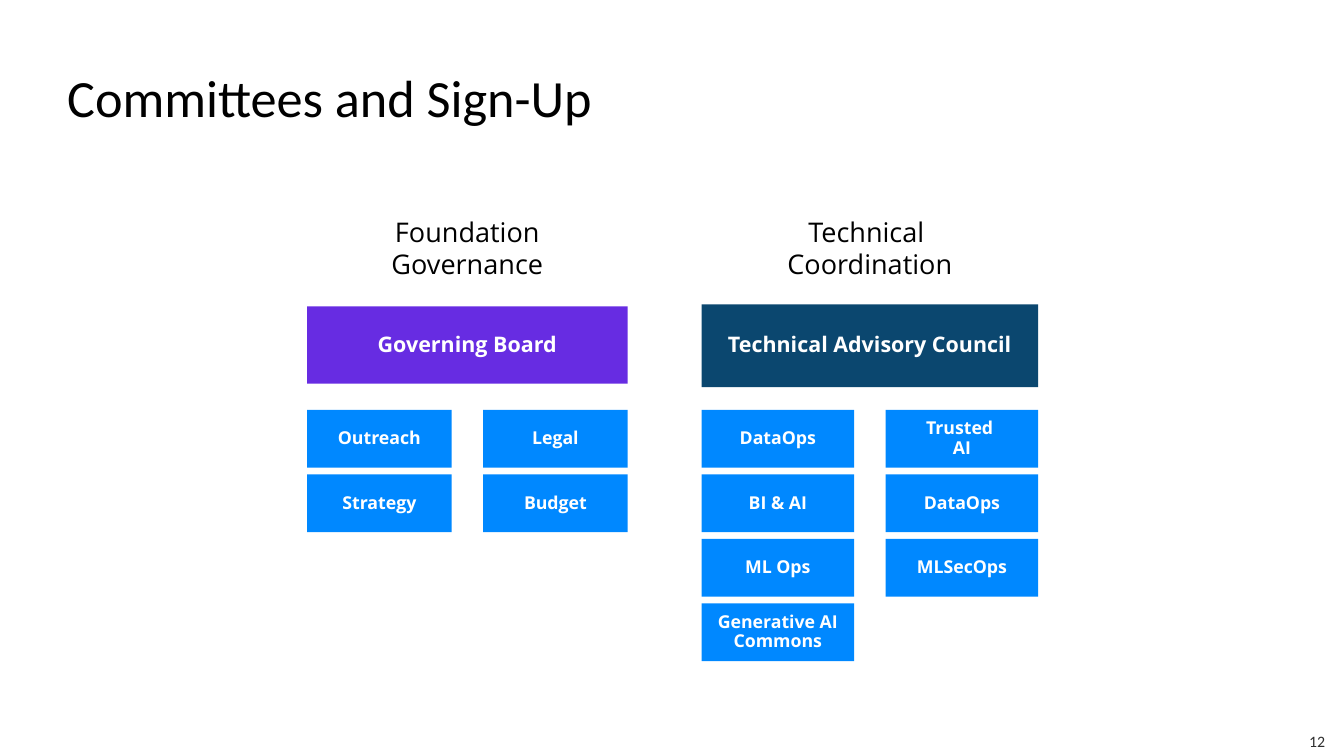
from pptx import Presentation
from pptx import util as u
from pptx.dml.color import RGBColor
from pptx.enum import shapes, text

PX = 9144  # EMU in one px, 100 px to the inch
BLUE, PURPLE, NAVY = "0088FF", "672CE2", "0B476F"
TOP, PITCH, HIGH = 610, 96, 86

# left, width, heading, heading of the board, its top, height, colour, box width, rows
GROUPS = [
    (457, 477, "Foundation Governance", "Governing Board", 456, 115, PURPLE, 215,
     [["Outreach", "Legal"], ["Strategy", "Budget"]]),
    (1044, 501, "Technical \nCoordination", "Technical Advisory Council", 453, 123, NAVY, 227,
     [["DataOps", "Trusted \nAI"], ["BI & AI", "DataOps"],
      ["ML Ops", "MLSecOps"], ["Generative AI Commons"]]),
]


def px(n):
    return u.Emu(n * PX)


def color(code):
    return RGBColor.from_string(code)


def place(shape, x, y, w, h):
    shape.left, shape.top, shape.width, shape.height = map(px, (x, y, w, h))


def write(shape, words, size, font="Open Sans", ink="000000", bold=False,
          align=text.PP_ALIGN.CENTER, anchor=text.MSO_ANCHOR.TOP,
          pad=(15, 7), space=None):
    """Fill the shape with one paragraph per line of words; pad is across, down."""
    frame = shape.text_frame
    frame.word_wrap = True
    frame.auto_size = text.MSO_AUTO_SIZE.NONE
    frame.vertical_anchor = anchor
    frame.margin_left = frame.margin_right = px(pad[0])
    frame.margin_top = frame.margin_bottom = px(pad[1])
    frame.text = words
    for para in frame.paragraphs:
        para.alignment = align
        para.line_spacing = space
        face = para.font
        face.name, face.size, face.bold = font, u.Pt(size), bold
        face.color.rgb = color(ink)


def label(slide, box, words, size, **style):
    write(slide.shapes.add_textbox(*map(px, box)), words, size, **style)


def block(slide, box, words, fill, size, pad):
    shape = slide.shapes.add_shape(shapes.MSO_SHAPE.RECTANGLE, *map(px, box))
    shape.shadow.inherit = False
    shape.fill.solid()
    shape.fill.fore_color.rgb = color(fill)
    shape.line.fill.background()
    write(shape, words, size, ink="FFFFFF", bold=True, pad=(pad, pad),
          anchor=text.MSO_ANCHOR.MIDDLE, space=0.9)


def group(slide, left, width, head, board, top, high, fill, wide, rows):
    """Draw a heading, its board and the committees in two columns below."""
    label(slide, (left, 313, width, 140), head, 29)
    block(slide, (left, top, width, high), board, fill, 23, 12)
    for i, row in enumerate(rows):
        for j, name in enumerate(row):
            box = (left + j * (width - wide), TOP + i * PITCH, wide, HIGH)
            block(slide, box, name, BLUE, 19, 9)


def main():
    deck = Presentation()
    deck.slide_width, deck.slide_height = px(2000), px(1125)
    slide = deck.slides.add_slide(deck.slide_layouts[5])
    title = slide.shapes.title
    place(title, 100, 97, 1864, 125)
    write(title, "Committees and Sign-Up", 56, font="Calibri",
          align=text.PP_ALIGN.LEFT, pad=(0, 0))
    for parts in GROUPS:
        group(slide, *parts)
    label(slide, (1927, 1080, 60, 45), "12", 17, font="Calibri", ink="2F2F2F",
          align=text.PP_ALIGN.RIGHT, anchor=text.MSO_ANCHOR.MIDDLE)
    deck.save("out.pptx")


if __name__ == "__main__":
    main()
